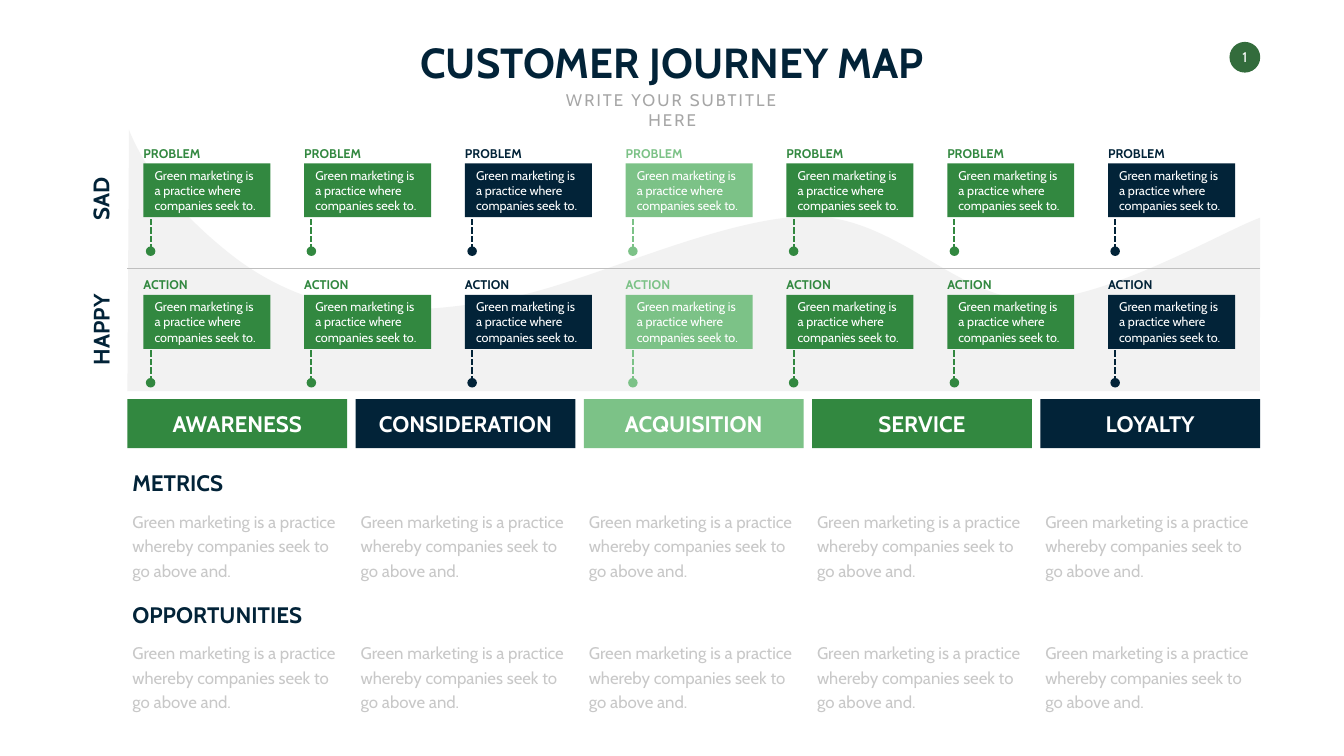
from lxml.etree import SubElement
from pptx import Presentation
from pptx.dml.color import RGBColor
from pptx.enum.dml import MSO_LINE
from pptx.enum.shapes import MSO_CONNECTOR, MSO_SHAPE
from pptx.enum.text import MSO_ANCHOR as ANCHOR, MSO_AUTO_SIZE as AUTO, PP_ALIGN as ALIGN
from pptx.oxml.ns import qn
from pptx.util import Cm, Pt

C = {
    "green": "328840", "navy": "022338", "mint": "7CC287", "badge": "336C3C",
    "wave": "F2F2F2", "rule": "BFBFBF", "subtitle": "A6A6A6", "body": "C8C8C8",
    "white": "FFFFFF",
}
COL_X, COL_W, COL_STEP = 6.42, 11.07, 11.5
CARD_X, CARD_Y, CARD_STEP = 7.23, 8.23, 8.1
ROW_STEP = 6.63
RIGHT = 63.48

prs = Presentation()
prs.slide_width, prs.slide_height = Cm(67.72), Cm(38.1)
s = prs.slides.add_slide(prs.slide_layouts[6])


def add_text(text, x, y, w, h, size, color, bold=False, align=ALIGN.LEFT,
             anchor=ANCHOR.TOP, wrap=False, inset=True):
    sp = s.shapes.add_textbox(Cm(x), Cm(y), Cm(w), Cm(h))
    tf = sp.text_frame
    tf.text = text
    tf.word_wrap = wrap
    tf.auto_size = AUTO.SHAPE_TO_FIT_TEXT
    tf.vertical_anchor = anchor
    if not inset:
        tf.margin_left = tf.margin_top = tf.margin_right = tf.margin_bottom = 0
    p = tf.paragraphs[0]
    p.alignment = align
    font = p.runs[0].font
    font.name, font.size, font.bold = "Cabin", Pt(size), bold
    font.color.rgb = RGBColor.from_string(C[color])
    return sp


def paint(sp, color, width=None, dash=None):
    rgb = RGBColor.from_string(C[color])
    if width:
        sp.line.color.rgb = rgb
        sp.line.width = Pt(width)
        if dash:
            sp.line.dash_style = dash
        SubElement(sp._element.spPr, qn("a:effectLst"))
    else:
        sp.shadow.inherit = False
        sp.fill.solid()
        sp.fill.fore_color.rgb = rgb
        sp.line.fill.background()


paint(s.shapes.add_shape(MSO_SHAPE.OVAL, Cm(61.95), Cm(2.11), Cm(1.55), Cm(1.55)), "badge")
add_text("1", 62.2, 2.46, 1.04, 0.86, 20, "white", align=ALIGN.CENTER,
         anchor=ANCHOR.MIDDLE, inset=False)
add_text("CUSTOMER JOURNEY MAP", 19.76, 1.7, 28.22, 2.82, 60, "navy", bold=True,
         align=ALIGN.CENTER)
subtitle = add_text("WRITE YOUR SUBTITLE HERE", 26.97, 4.38, 13.79, 1.27, 24, "subtitle",
                    align=ALIGN.CENTER, wrap=True)
subtitle.text_frame.paragraphs[0].runs[0]._r.get_or_add_rPr().set("spc", "300")

start = (63.5, 10.97)
curves = [
    ((61.6, 11.66), (55.8, 15.11), (52.04, 15.11)),
    ((48.26, 15.09), (45.21, 10.95), (40.89, 10.9)),
    ((36.58, 10.87), (29.85, 14.12), (26.11, 14.91)),
    ((22.38, 15.67), (20.55, 15.65), (18.44, 15.54)),
    ((16.33, 15.44), (13.94, 14.55), (11.94, 13.06)),
    ((9.96, 11.56), (7.59, 9.25), (6.5, 6.55)),
]
corners = [end for _, _, end in curves] + [(COL_X, 19.71), (RIGHT, 19.71)]
builder = s.shapes.build_freeform(Cm(start[0]), Cm(start[1]))
builder.add_line_segments([(Cm(x), Cm(y)) for x, y in corners], close=True)
wave = builder.convert_to_shape()
for segment, (first, second, _) in zip(list(wave._element.iter(qn("a:lnTo"))), curves):
    segment.tag = qn("a:cubicBezTo")
    for i, (x, y) in enumerate((first, second)):
        pt = SubElement(segment, qn("a:pt"), x=str(Cm(x) - wave.left), y=str(Cm(y) - wave.top))
        segment.insert(i, pt)
paint(wave, "wave")

rule = s.shapes.add_connector(MSO_CONNECTOR.STRAIGHT, Cm(COL_X), Cm(13.54), Cm(RIGHT), Cm(13.54))
paint(rule, "rule", 2.25)

for mood, x, y, w in [("HAPPY", 2.87, 15.81, 4.37), ("SAD", 3.61, 9.23, 2.87)]:
    sp = add_text(mood, x, y, w, 1.63, 32, "navy", bold=True, align=ALIGN.CENTER,
                  anchor=ANCHOR.BOTTOM)
    sp.rotation = 270

stages = [
    ("AWARENESS", "green", 7.62), ("CONSIDERATION", "navy", 9.96),
    ("ACQUISITION", "mint", 8.08), ("SERVICE", "green", 5.23), ("LOYALTY", "navy", 5.54),
]
for i, (stage, color, w) in enumerate(stages):
    x = COL_X + i * COL_STEP
    paint(s.shapes.add_shape(MSO_SHAPE.RECTANGLE, Cm(x), Cm(20.12), Cm(COL_W), Cm(2.46)), color)
    add_text(stage, x + (COL_W - w) / 2, 20.55, w, 1.63, 32, "white", bold=True,
             align=ALIGN.CENTER, anchor=ANCHOR.MIDDLE)

for row, (heading, w) in enumerate([("METRICS", 5.49), ("OPPORTUNITIES", 9.47)]):
    y = 23.5 + row * ROW_STEP
    add_text(heading, COL_X, y, w, 1.63, 32, "navy", bold=True, anchor=ANCHOR.BOTTOM)
    for i in range(len(stages)):
        sp = add_text("Green marketing is a practice whereby companies seek to go above and.",
                      COL_X + i * COL_STEP, y + 1.94, COL_W, 3.86, 24, "body", wrap=True)
        sp.text_frame.paragraphs[0].line_spacing = Pt(35)

card_colors = ["green", "green", "navy", "mint", "green", "green", "navy"]
for row, (label, w) in enumerate([("PROBLEM", 3), ("ACTION", 2.51)]):
    y = CARD_Y + row * ROW_STEP
    for i, color in enumerate(card_colors):
        x = CARD_X + i * CARD_STEP
        paint(s.shapes.add_shape(MSO_SHAPE.OVAL, Cm(x + 0.12), Cm(y + 4.19), Cm(0.48), Cm(0.48)), color)
        paint(s.shapes.add_shape(MSO_SHAPE.RECTANGLE, Cm(x), Cm(y), Cm(6.4), Cm(2.72)), color)
        stem = s.shapes.add_connector(MSO_CONNECTOR.STRAIGHT, Cm(x + 0.36), Cm(y + 4.39),
                                      Cm(x + 0.36), Cm(y + 2.45))
        paint(stem, color, 3, MSO_LINE.SQUARE_DOT)
        add_text("Green marketing is a practice where companies seek to.",
                 x + 0.31, y + 0.08, 5.79, 2.57, 18, "white", anchor=ANCHOR.MIDDLE, wrap=True)
        add_text(label, x, y - 0.89, w, 0.76, 18, color, bold=True,
                 anchor=ANCHOR.BOTTOM, inset=False)

prs.save("out.pptx")
